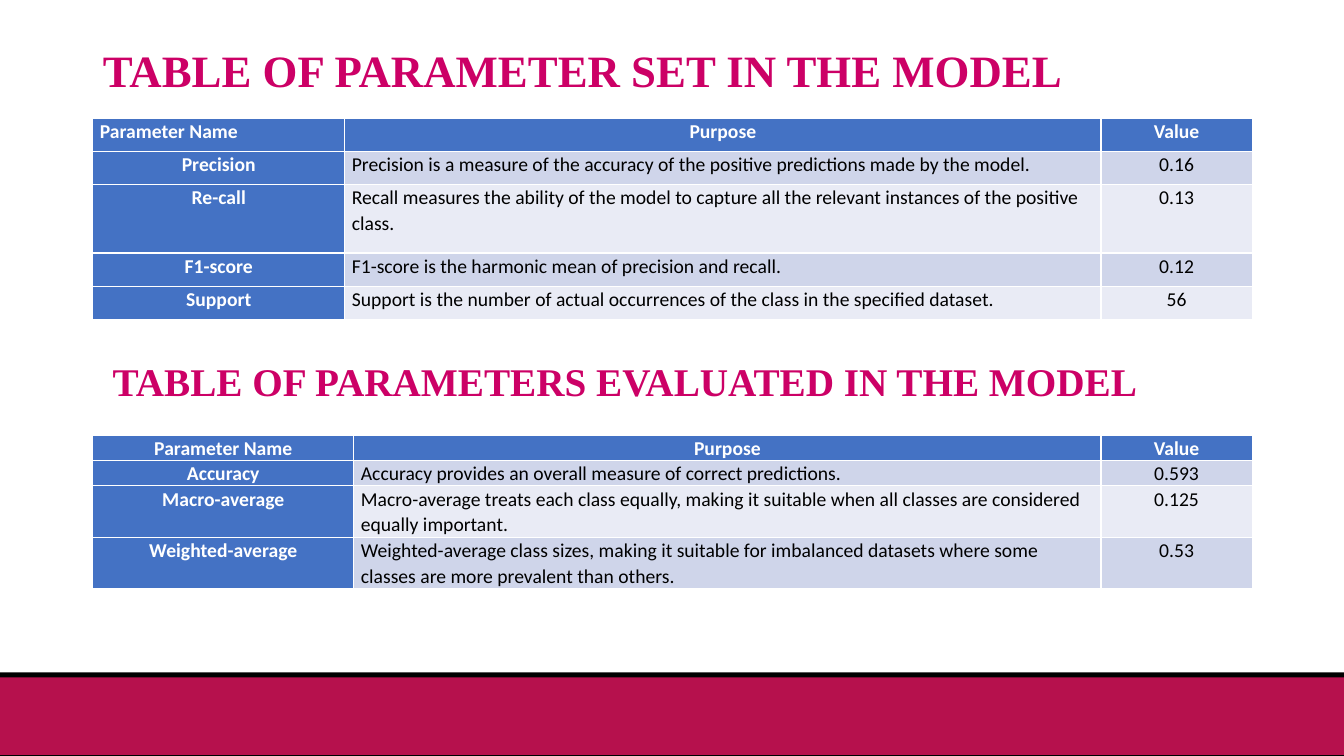
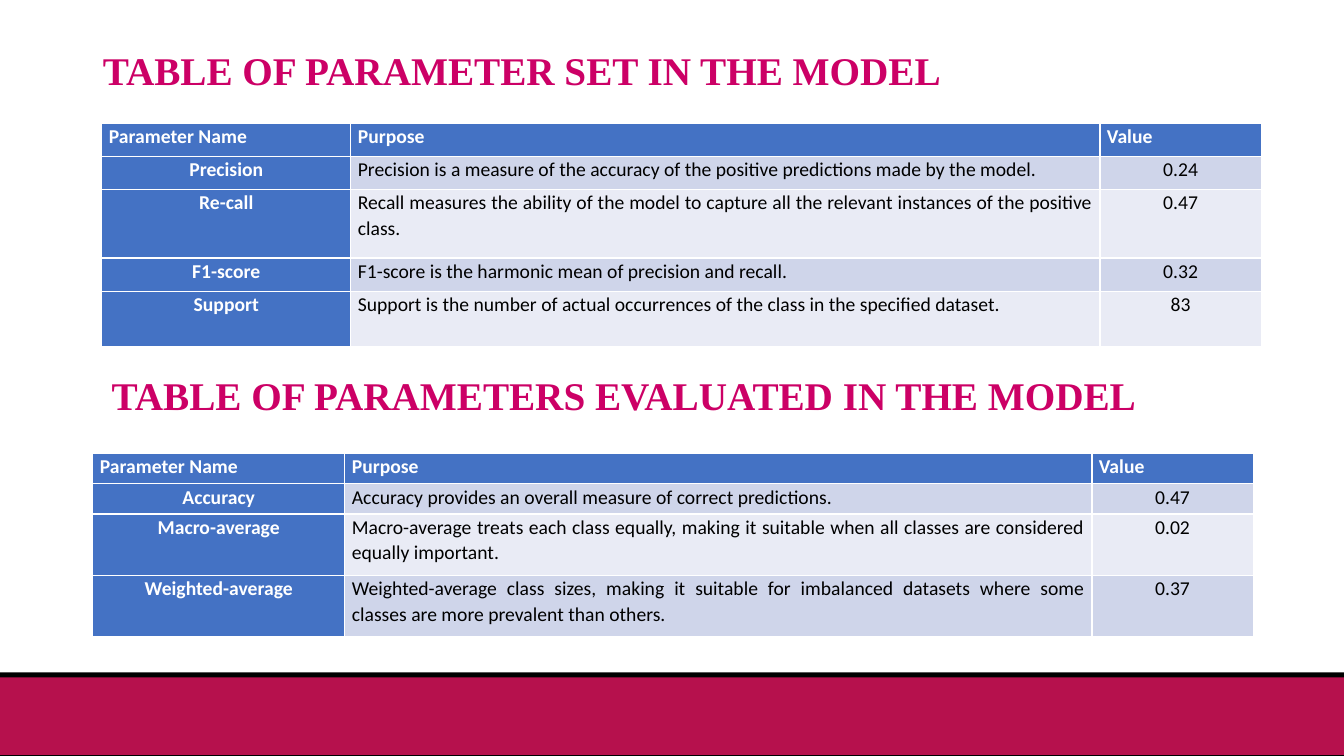
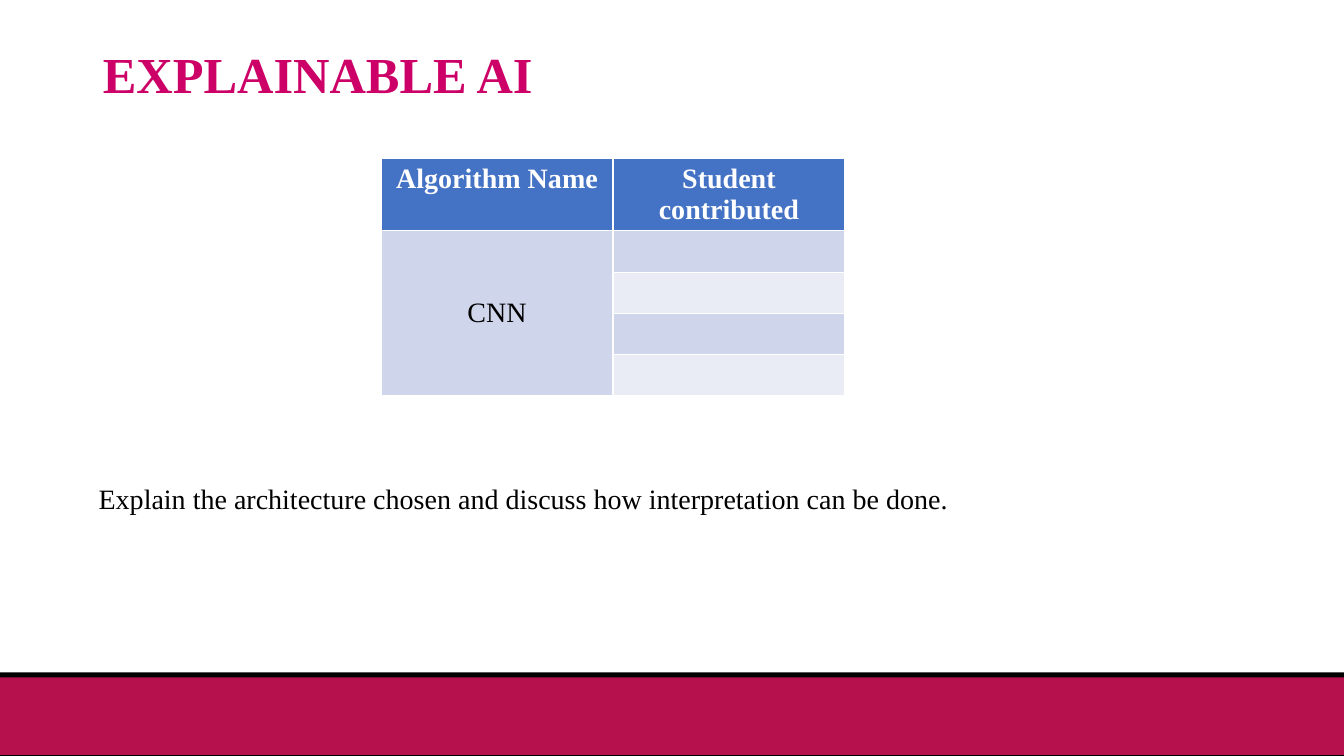
import pptx
import pptx.dml.color
import pptx.enum.shapes
import pptx.enum.text
import pptx.util

Inches, Pt = pptx.util.Inches, pptx.util.Pt
ALIGN = pptx.enum.text.PP_ALIGN
MIDDLE = pptx.enum.text.MSO_ANCHOR.MIDDLE
LEFT, CENTER, JUSTIFY = ALIGN.LEFT, ALIGN.CENTER, ALIGN.JUSTIFY

COLORS = {
    "heading": "CC0066", "band": "B6114D", "black": "000000", "white": "FFFFFF",
    "header": "4472C4", "odd": "CFD5EA", "even": "E9EBF5",
}
SERIF, SANS = "Times New Roman", "Calibri"
WIDTH, HEIGHT = 13.33, 7.5
BANDS = [("black", 6.67, 0.83), ("band", 6.72, 0.77)]

HEADER = ("Parameter Name", "Purpose", "Value")
SET_TITLE = "TABLE OF PARAMETER SET IN THE MODEL"
EVALUATED_TITLE = "TABLE OF PARAMETERS EVALUATED IN THE MODEL"
SET_PARAMETERS = [
    ("Precision", "Precision is a measure of the accuracy of the positive predictions made by the model."),
    ("Re-call", "Recall measures the ability of the model to capture all the relevant instances "
                "of the positive class."),
    ("F1-score", "F1-score is the harmonic mean of precision and recall."),
    ("Support", "Support is the number of actual occurrences of the class in the specified dataset."),
]
EVALUATED_PARAMETERS = [
    ("Accuracy", "Accuracy provides an overall measure of correct predictions."),
    ("Macro-average", "Macro-average treats each class equally, making it suitable when all classes "
                      "are considered equally important."),
    ("Weighted-average", "Weighted-average class sizes, making it suitable for imbalanced datasets "
                         "where some classes are more prevalent than others."),
]

PARAMETER_SLIDES = [
    {
        "title": (0, 1.45, 32), "heading": (1.02, 3.5, 11.4), "purpose_align": LEFT,
        "tables": [
            {"parameters": SET_PARAMETERS, "values": ["0.16", "0.13", "0.12", "56"],
             "at": (0.92, 1.17), "columns": [2.5, 7.5, 1.5],
             "heights": [0.33, 0.33, 0.68, 0.33, 0.33], "header_aligns": [LEFT, CENTER, CENTER]},
            {"parameters": EVALUATED_PARAMETERS, "values": ["0.593", "0.125", "0.53"],
             "at": (0.92, 4.32), "columns": [2.59, 7.41, 1.5],
             "heights": [0.25, 0.25, 0.51, 0.51], "header_aligns": [CENTER] * 3},
        ],
    },
    {
        "title": (0.17, 1.11, 28), "heading": (1.01, 3.63, 10.46), "purpose_align": JUSTIFY,
        "tables": [
            {"parameters": SET_PARAMETERS, "values": ["0.24", "0.47", "0.32", "83"],
             "at": (1.01, 1.22), "columns": [2.47, 7.43, 1.6],
             "heights": [0.33, 0.33, 0.68, 0.33, 0.55], "header_aligns": [LEFT] * 3},
            {"parameters": EVALUATED_PARAMETERS, "values": ["0.47", "0.02", "0.37"],
             "at": (0.92, 4.5), "columns": [2.5, 7.41, 1.6],
             "heights": [0.3, 0.3, 0.61, 0.61], "header_aligns": [LEFT] * 3},
        ],
    },
]
ALGORITHM_ROWS = [("Algorithm Name", "Student contributed"), ("CNN", ""), ("", ""), ("", ""), ("", "")]
EXPLANATION = "Explain the architecture chosen and discuss how interpretation can be done."


def rgb(name):
    return pptx.dml.color.RGBColor.from_string(COLORS[name])


def write(frame, text, size, color, font=SERIF, bold=False, align=LEFT, spacing=None):
    para = frame.paragraphs[0]
    para.text = text
    para.alignment = align
    para.line_spacing = spacing
    para.font.name, para.font.size, para.font.bold = font, Pt(size), bold
    para.font.color.rgb = rgb(color)


def add_bands(page, layout):
    """Draw the footer bands once and keep them in the layout."""
    for holder in list(layout.placeholders)[1:]:
        holder.element.getparent().remove(holder.element)
    bands = []
    for color, top, height in BANDS:
        band = page.shapes.add_shape(pptx.enum.shapes.MSO_SHAPE.RECTANGLE, 0, Inches(top),
                                     Inches(WIDTH), Inches(height))
        band.shadow.inherit = False
        band.fill.solid()
        band.fill.fore_color.rgb = rgb(color)
        band.line.fill.background()
        bands.append(band)
    for band in bands:
        layout.element.cSld.spTree.append(band.element)


def add_page(deck, layout, text, top, height, size):
    page = deck.slides.add_slide(layout)
    title = page.shapes.title
    title.left, title.top = Inches(0.92), Inches(top)
    title.width, title.height = Inches(11.5), Inches(height)
    title.text_frame.vertical_anchor = MIDDLE
    write(title.text_frame, text, size, "heading", bold=True, spacing=0.9)
    return page


def add_text(page, text, left, top, width, height, size, color, bold=False):
    box = page.shapes.add_textbox(Inches(left), Inches(top), Inches(width), Inches(height))
    box.text_frame.word_wrap = True
    write(box.text_frame, text, size, color, bold=bold)


def add_table(page, rows, at, columns, heights, aligns, header_aligns, name_column, **style):
    """Add a banded table; name_column gives the first column the header look."""
    frame = page.shapes.add_table(len(rows), len(columns), Inches(at[0]), Inches(at[1]),
                                  Inches(sum(columns)), Inches(sum(heights)))
    table = frame.table
    table.first_col = name_column
    for column, width in zip(table.columns, columns):
        column.width = Inches(width)
    for r, (row, texts) in enumerate(zip(table.rows, rows)):
        row.height = Inches(heights[r])
        for c, (cell, text) in enumerate(zip(row.cells, texts)):
            strong = r == 0 or (name_column and c == 0)
            cell.fill.solid()
            cell.fill.fore_color.rgb = rgb("header" if strong else "odd" if r % 2 else "even")
            if name_column:
                cell.margin_left = cell.margin_right = Inches(0.07)
                cell.margin_top = cell.margin_bottom = 0
            if text:
                write(cell.text_frame, text, color="white" if strong else "black", bold=strong,
                      align=(aligns if r else header_aligns)[c], **style)
    return table


def add_parameter_page(deck, layout, content):
    page = add_page(deck, layout, SET_TITLE, *content["title"])
    add_text(page, EVALUATED_TITLE, *content["heading"], 0.57, 28, "heading", bold=True)
    for table in content["tables"]:
        rows = [HEADER] + [(*parameter, value) for parameter, value
                           in zip(table["parameters"], table["values"])]
        add_table(page, rows, table["at"], table["columns"], table["heights"],
                  [CENTER, content["purpose_align"], CENTER], table["header_aligns"],
                  True, size=14, font=SANS, spacing=1.07)


def add_algorithm_page(deck, layout):
    page = add_page(deck, layout, "EXPLAINABLE AI", 0.4, 0.74, 36)
    table = add_table(page, ALGORITHM_ROWS, (3.78, 1.57), [2.3, 2.3], [0.72] + [0.41] * 4,
                      [CENTER] * 2, [CENTER] * 2, False, size=20)
    algorithm = table.cell(1, 0)
    algorithm.merge(table.cell(4, 0))
    algorithm.vertical_anchor = MIDDLE
    add_text(page, EXPLANATION, 0.88, 4.73, 8.8, 0.44, 20, "black")


def main():
    deck = pptx.Presentation()
    deck.slide_width, deck.slide_height = Inches(WIDTH), Inches(HEIGHT)
    layout = deck.slide_layouts.get_by_name("Title Only")
    for content in PARAMETER_SLIDES:
        add_parameter_page(deck, layout, content)
    add_algorithm_page(deck, layout)
    add_bands(deck.slides[0], layout)
    deck.save("out.pptx")


if __name__ == "__main__":
    main()
